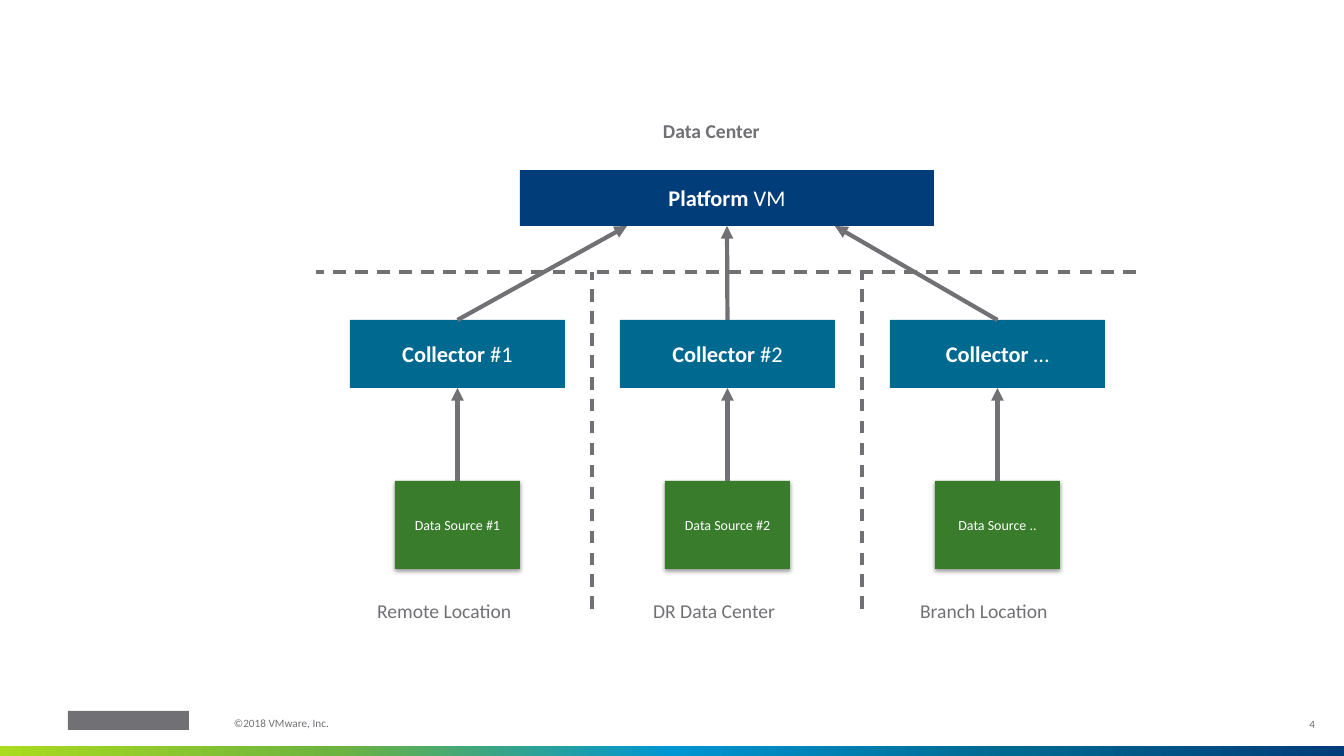
from lxml.etree import SubElement
from pptx import Presentation
from pptx.dml.color import RGBColor
from pptx.enum.dml import MSO_LINE
from pptx.enum.shapes import MSO_CONNECTOR, MSO_SHAPE
from pptx.enum.text import MSO_ANCHOR, PP_ALIGN
from pptx.oxml.ns import qn
from pptx.util import Emu, Pt

COLORS = {
    "lime": "AADB1E",
    "leaf": "6DB33F",
    "sky": "0095D3",
    "teal": "006990",
    "navy": "003D79",
    "green": "387C2C",
    "gray": "717074",
    "white": "FFFFFF",
}
EMU_PER_PX = 914400 / 100.8
TOP_SITE, BOTTOM_SITE = 0, 2


def px(value):
    return Emu(round(value * EMU_PER_PX))


def color(name):
    return RGBColor.from_string(COLORS[name])


class DiagramSlide:
    """Draws the elements of the diagram in one shared style."""

    font_name = "Calibri"

    def __init__(self, presentation):
        self.slide = presentation.slides.add_slide(presentation.slide_layouts[6])

    def add_runs(self, shape, runs, size, font_color, align):
        paragraph = shape.text_frame.paragraphs[0]
        paragraph.alignment = align
        for text, bold in runs:
            run = paragraph.add_run()
            run.text = text
            run.font.name = self.font_name
            run.font.size = Pt(size)
            run.font.bold = bold
            run.font.color.rgb = color(font_color)
        return paragraph

    def box(self, left, top, width, height, fill, runs=(), size=16):
        shape = self.slide.shapes.add_shape(
            MSO_SHAPE.RECTANGLE, px(left), px(top), px(width), px(height))
        shape.shadow.inherit = False
        shape.fill.solid()
        shape.fill.fore_color.rgb = color(fill)
        shape.line.fill.background()
        shape.text_frame.vertical_anchor = MSO_ANCHOR.MIDDLE
        self.add_runs(shape, runs, size, "white", PP_ALIGN.CENTER)
        return shape

    def shadowed_box(self, left, top, width, height, fill, runs, size):
        shape = self.box(left, top, width, height, fill, runs, size)
        shape.text_frame.word_wrap = False
        effects = shape._element.spPr.find(qn("a:effectLst"))
        shadow = SubElement(effects, qn("a:outerShdw"), blurRad=str(Pt(3.1)),
                            dist=str(Pt(1.6)), dir="5400000", rotWithShape="0")
        shade = SubElement(shadow, qn("a:srgbClr"), val="000000")
        SubElement(shade, qn("a:alpha"), val="38000")
        return shape

    def gradient_bar(self, left, top, width, height, names):
        shape = self.box(left, top, width, height, names[0])
        shape.fill.gradient()
        shape.fill.gradient_angle = 0
        stops = shape._element.spPr.find(qn("a:gradFill")).find(qn("a:gsLst"))
        for stop in list(stops):
            stops.remove(stop)
        for index, name in enumerate(names):
            position = 100000 * index // (len(names) - 1)
            stop = SubElement(stops, qn("a:gs"), pos=str(position))
            SubElement(stop, qn("a:srgbClr"), val=COLORS[name])

    def label(self, left, top, width, height, text, size=14, bold=False,
              align=PP_ALIGN.LEFT, anchor=MSO_ANCHOR.TOP):
        shape = self.slide.shapes.add_textbox(px(left), px(top), px(width), px(height))
        frame = shape.text_frame
        frame.word_wrap = True
        frame.vertical_anchor = anchor
        frame.margin_left = frame.margin_right = 0
        frame.margin_top = frame.margin_bottom = 0
        return self.add_runs(shape, [(text, bold)], size, "gray", align)

    def line(self, start, end, width):
        connector = self.slide.shapes.add_connector(
            MSO_CONNECTOR.STRAIGHT, *(px(value) for value in (*start, *end)))
        connector.line.color.rgb = color("gray")
        connector.line.width = Pt(width)
        SubElement(connector._element.spPr, qn("a:effectLst"))
        return connector

    def dashed_line(self, start, end):
        self.line(start, end, 2.25).line.dash_style = MSO_LINE.DASH

    def arrow(self, start, end, source, target=None):
        connector = self.line(start, end, 3)
        outline = connector._element.spPr.find(qn("a:ln"))
        SubElement(outline, qn("a:tailEnd"), type="triangle")
        connector.begin_connect(source, TOP_SITE)
        if target is not None:
            connector.end_connect(target, BOTTOM_SITE)


def main():
    presentation = Presentation()
    presentation.slide_width = px(1344)
    presentation.slide_height = px(756)
    diagram = DiagramSlide(presentation)

    diagram.gradient_bar(0, 746, 1344, 10, ["lime", "leaf", "sky", "teal", "navy"])
    diagram.box(68, 711, 121, 19, "gray")
    number = diagram.label(1267, 705, 48, 40, "4", 8,
                           align=PP_ALIGN.RIGHT, anchor=MSO_ANCHOR.MIDDLE)
    footer = diagram.label(234, 718, 217, 16, "©2018 VMware, Inc.", 8)
    for paragraph in (number, footer):
        paragraph.line_spacing = 0.9

    platform = diagram.box(520, 170, 414, 56, "navy",
                           [("Platform", True), (" VM", False)])
    headings = [diagram.label(663, 119, 125, 24, "Data Center", bold=True)]

    columns = [
        ("#1", "#1", "Remote Location", 377, 627),
        ("#2", "#2", "DR Data Center", 653, 727),
        ("…", "..", "Branch Location", 920, 835),
    ]
    for index, (collector_id, source_id, place, place_left, tip) in enumerate(columns):
        center = 457 + 270 * index
        source = diagram.shadowed_box(center - 62, 481, 125, 88, "green",
                                      [(f"Data Source {source_id}", False)], 10)
        collector = diagram.box(center - 107, 320, 215, 68, "teal",
                                [("Collector", True), (f" {collector_id}", False)])
        diagram.arrow((center, 481), (center, 388), source, collector)
        diagram.arrow((center, 320), (tip, 226), collector,
                      platform if index == 1 else None)
        headings.append(diagram.label(place_left, 599, 161, 24, place))
    for paragraph in headings:
        paragraph.space_after = Pt(6)

    diagram.dashed_line((1136, 272), (316, 272))
    for divider in (592, 862):
        diagram.dashed_line((divider, 609), (divider, 272))

    presentation.save("out.pptx")


if __name__ == "__main__":
    main()
